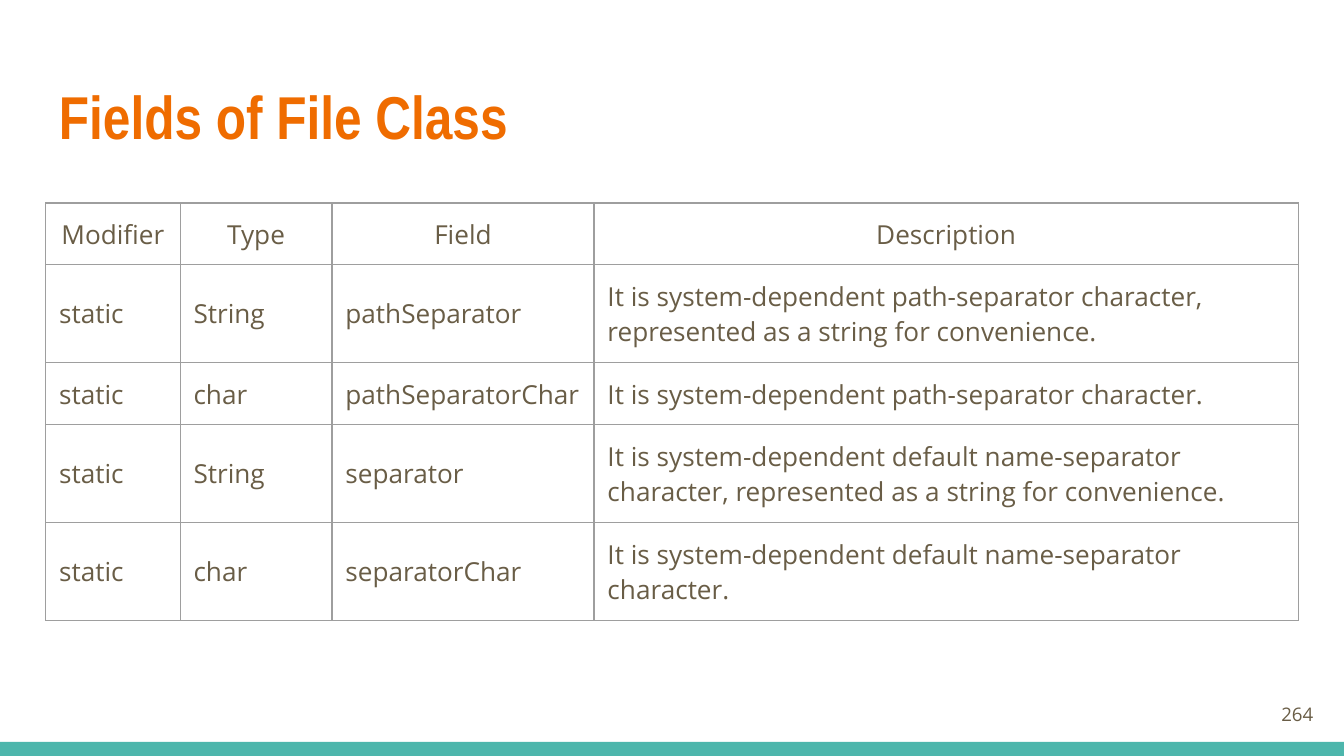
from lxml.etree import SubElement
from pptx import Presentation
from pptx.dml.color import RGBColor
from pptx.enum.shapes import MSO_SHAPE
from pptx.enum.text import MSO_ANCHOR, PP_ALIGN
from pptx.oxml.ns import qn
from pptx.util import Inches, Pt

ORANGE = RGBColor(0xEF, 0x6C, 0x00)
BROWN = RGBColor(0x69, 0x5D, 0x46)
TEAL = RGBColor(0x4D, 0xB6, 0xAC)
GRAY = RGBColor(0x9E, 0x9E, 0x9E)

TITLE = "Fields of File Class"
PAGE_NUMBER = "264"
ROWS = [
    ("Modifier", "Type", "Field", "Description"),
    ("static", "String", "pathSeparator",
     "It is system-dependent path-separator character, represented as a string for convenience."),
    ("static", "char", "pathSeparatorChar",
     "It is system-dependent path-separator character."),
    ("static", "String", "separator",
     "It is system-dependent default name-separator character, represented as a string for convenience."),
    ("static", "char", "separatorChar",
     "It is system-dependent default name-separator character."),
]
COLUMN_WIDTHS = [1, 1.13, 1.95, 5.24]
ONE_LINE, TWO_LINES = 0.46, 0.73
ROW_HEIGHTS = [ONE_LINE, TWO_LINES, ONE_LINE, TWO_LINES, TWO_LINES]
MARGIN = Inches(0.1)


def set_margins(holder):
    holder.margin_left = holder.margin_right = MARGIN
    holder.margin_top = holder.margin_bottom = MARGIN


def style_paragraph(paragraph, text, font_name, size, color, alignment, bold=False):
    paragraph.text = text
    paragraph.alignment = alignment
    font = paragraph.font
    font.name, font.size, font.bold = font_name, Pt(size), bold
    font.color.rgb = color


def add_text(slide, box, anchor, *style, **options):
    frame = slide.shapes.add_textbox(*map(Inches, box)).text_frame
    frame.word_wrap = True
    frame.vertical_anchor = anchor
    set_margins(frame)
    style_paragraph(frame.paragraphs[0], *style, **options)


def set_borders(cell):
    properties = cell._tc.get_or_add_tcPr()
    for position, side in enumerate(("a:lnL", "a:lnR", "a:lnT", "a:lnB")):
        line = SubElement(properties, qn(side), w=str(Pt(0.75)))
        fill = SubElement(line, qn("a:solidFill"))
        SubElement(fill, qn("a:srgbClr"), val=str(GRAY))
        properties.insert(position, line)


def add_field_table(slide):
    table = slide.shapes.add_table(
        len(ROWS), len(COLUMN_WIDTHS), Inches(0.34), Inches(1.51),
        Inches(sum(COLUMN_WIDTHS)), Inches(sum(ROW_HEIGHTS))).table
    table.horz_banding = False
    for column, width in zip(table.columns, COLUMN_WIDTHS):
        column.width = Inches(width)
    for row, height in zip(table.rows, ROW_HEIGHTS):
        row.height = Inches(height)
    for row_index, texts in enumerate(ROWS):
        alignment = PP_ALIGN.LEFT if row_index else PP_ALIGN.CENTER
        for column_index, text in enumerate(texts):
            cell = table.cell(row_index, column_index)
            cell.fill.background()
            cell.vertical_anchor = MSO_ANCHOR.MIDDLE
            set_margins(cell)
            set_borders(cell)
            style_paragraph(cell.text_frame.paragraphs[0], text,
                            "Open Sans", 14, BROWN, alignment)


presentation = Presentation()
presentation.slide_width = Inches(10)
presentation.slide_height = Inches(10 * 9 / 16)
slide = presentation.slides.add_slide(presentation.slide_layouts[6])

footer_bar = slide.shapes.add_shape(
    MSO_SHAPE.RECTANGLE, 0, Inches(5.52), Inches(10), Inches(0.11))
footer_bar.shadow.inherit = False
footer_bar.fill.solid()
footer_bar.fill.fore_color.rgb = TEAL
footer_bar.line.fill.background()

add_text(slide, (0.34, 0.49, 9.32, 0.77), MSO_ANCHOR.TOP,
         TITLE, "Arial Narrow", 32.4, ORANGE, PP_ALIGN.LEFT, bold=True)
add_text(slide, (9.27, 5.1, 0.6, 0.43), MSO_ANCHOR.MIDDLE,
         PAGE_NUMBER, "Open Sans", 10, BROWN, PP_ALIGN.RIGHT)
add_field_table(slide)

presentation.save("out.pptx")
